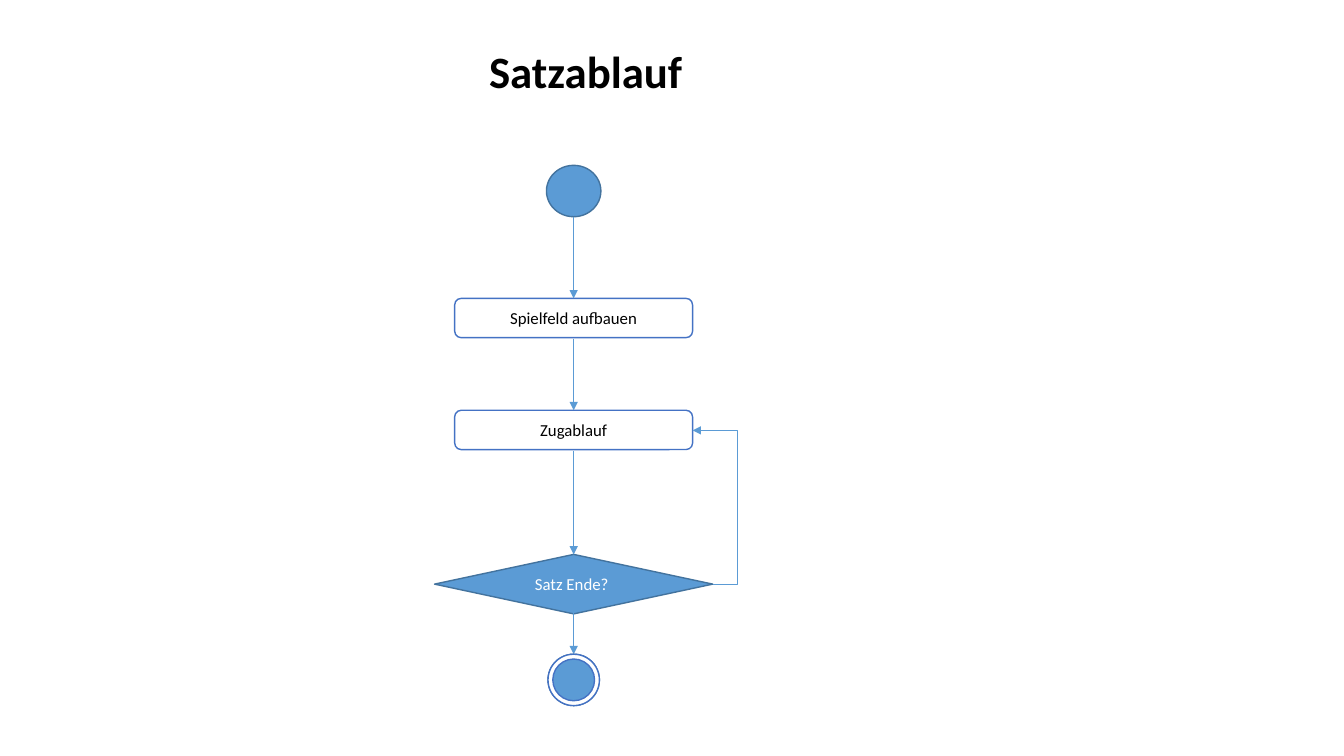
from lxml.etree import SubElement
from pptx import Presentation
from pptx.dml.color import RGBColor
from pptx.enum.shapes import MSO_CONNECTOR, MSO_SHAPE
from pptx.enum.text import MSO_ANCHOR, MSO_AUTO_SIZE, PP_ALIGN
from pptx.oxml.ns import qn
from pptx.util import Inches, Pt

BLUE = RGBColor(0x5B, 0x9B, 0xD5)
DARK_BLUE = RGBColor(0x43, 0x73, 0x9E)
OUTLINE_BLUE = RGBColor(0x44, 0x72, 0xC4)
WHITE = RGBColor(0xFF, 0xFF, 0xFF)
BLACK = RGBColor(0, 0, 0)

AXIS = 5.69
STEP_WIDTH, STEP_HEIGHT = 2.36, 0.39
STEP_RIGHT = AXIS + STEP_WIDTH / 2
DECISION_WIDTH, DECISION_HEIGHT = 2.76, 0.59
END_SIZE = 0.51


def write(frame, text, size, color, bold=False):
    frame.word_wrap = True
    frame.text = text
    paragraph = frame.paragraphs[0]
    paragraph.alignment = PP_ALIGN.CENTER
    font = paragraph.runs[0].font
    font.name, font.size, font.bold = "Calibri", Pt(size), bold
    font.color.rgb = color


def add_title(slide, text):
    title = slide.shapes.add_textbox(Inches(1.61), Inches(0.38), Inches(8.4), Inches(0.64))
    write(title.text_frame, text, 32, BLACK, bold=True)
    title.text_frame.auto_size = MSO_AUTO_SIZE.SHAPE_TO_FIT_TEXT


def add_node(shapes, kind, top, width, height, fill, outline):
    node = shapes.add_shape(kind, Inches(AXIS - width / 2), Inches(top),
                            Inches(width), Inches(height))
    node.shadow.inherit = False
    node.fill.solid()
    node.fill.fore_color.rgb = fill
    node.line.color.rgb = outline
    node.line.width = Pt(1)
    return node


def label(node, text, color):
    write(node.text_frame, text, 12, color)
    node.text_frame.vertical_anchor = MSO_ANCHOR.MIDDLE


def add_step(slide, text, top):
    step = add_node(slide.shapes, MSO_SHAPE.ROUNDED_RECTANGLE, top,
                    STEP_WIDTH, STEP_HEIGHT, WHITE, OUTLINE_BLUE)
    label(step, text, BLACK)


def add_decision(slide, text, top):
    decision = add_node(slide.shapes, MSO_SHAPE.DIAMOND, top,
                        DECISION_WIDTH, DECISION_HEIGHT, BLUE, DARK_BLUE)
    label(decision, text, WHITE)


def add_end(slide, top):
    end = slide.shapes.add_group_shape()
    add_node(end.shapes, MSO_SHAPE.OVAL, top, END_SIZE, END_SIZE, BLUE, DARK_BLUE)
    ring = add_node(end.shapes, MSO_SHAPE.DONUT, top, END_SIZE, END_SIZE, WHITE, OUTLINE_BLUE)
    ring.adjustments[0] = 0.094


def add_arrow(slide, kind, start, finish):
    arrow = slide.shapes.add_connector(kind, *map(Inches, start + finish))
    arrow.line.color.rgb = BLUE
    arrow.line.width = Pt(0.5)
    SubElement(arrow.line._get_or_add_ln(), qn("a:tailEnd"), type="triangle")
    properties = arrow._element.spPr
    SubElement(properties, qn("a:effectLst"))
    return properties


def add_loop(slide, start, finish, bend_x):
    properties = add_arrow(slide, MSO_CONNECTOR.ELBOW, start, finish)
    bend = (bend_x - start[0]) / (finish[0] - start[0])
    adjustments = properties.find(qn("a:prstGeom")).get_or_add_avLst()
    SubElement(adjustments, qn("a:gd"), name="adj1", fmla=f"val {round(bend * 100000)}")


def main():
    presentation = Presentation()
    presentation.slide_width, presentation.slide_height = Inches(13.33), Inches(7.5)
    slide = presentation.slides.add_slide(presentation.slide_layouts[6])

    add_title(slide, "Satzablauf")
    add_node(slide.shapes, MSO_SHAPE.OVAL, 1.64, 0.54, 0.51, BLUE, DARK_BLUE)
    add_step(slide, "Spielfeld aufbauen", 2.96)
    add_step(slide, "Zugablauf", 4.07)
    add_decision(slide, "Satz Ende? ", 5.5)
    for top, bottom in ((2.15, 2.96), (3.36, 4.07), (4.47, 5.5), (5.98, 6.49)):
        add_arrow(slide, MSO_CONNECTOR.STRAIGHT, (AXIS, top), (AXIS, bottom))
    add_loop(slide, (AXIS + DECISION_WIDTH / 2, 5.8), (STEP_RIGHT, 4.27), 7.31)
    add_end(slide, 6.49)

    presentation.save("out.pptx")


main()
